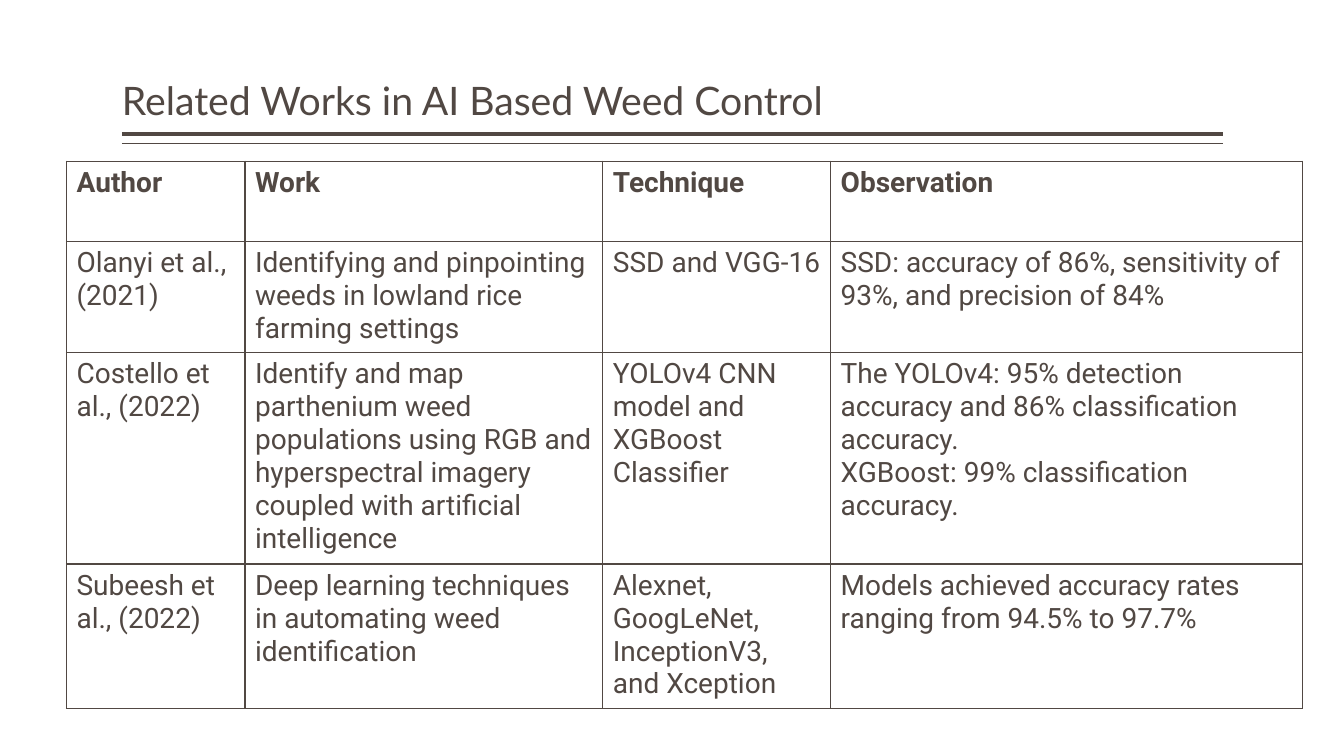
from lxml.etree import SubElement
from pptx import Presentation
from pptx.dml.color import RGBColor
from pptx.enum.shapes import MSO_CONNECTOR
from pptx.enum.text import MSO_ANCHOR
from pptx.oxml import parse_xml
from pptx.oxml.ns import nsdecls, qn
from pptx.util import Pt

TITLE = "Related Works in AI Based Weed Control"
ROWS = [
    ("Author", "Work", "Technique", "Observation"),
    ("Olanyi et al., (2021)",
     "Identifying and pinpointing weeds in lowland rice farming settings",
     "SSD and VGG-16",
     "SSD: accuracy of 86%, sensitivity of 93%, and precision of 84%"),
    ("Costello et al., (2022)",
     "Identify and map parthenium weed populations using RGB and "
     "hyperspectral imagery coupled with artificial intelligence",
     "YOLOv4 CNN model and XGBoost Classifier",
     "The YOLOv4: 95% detection accuracy and 86% classification accuracy.\n"
     "XGBoost: 99% classification accuracy."),
    ("Subeesh et al., (2022)",
     "Deep learning techniques in automating weed identification",
     "Alexnet, GoogLeNet, InceptionV3, and Xception",
     "Models achieved accuracy rates ranging from 94.5% to 97.7%"),
]
INK = "514843"
COL_WIDTHS = [127.5, 255.6, 162.7, 337]
ROW_HEIGHTS = [57.2, 78, 148.5, 101.4]
TABLE_LEFT, TABLE_TOP = 47.5, 115.2
TITLE_LEFT, TITLE_TOP, TITLE_WIDTH, TITLE_HEIGHT = 87.1, 5.8, 786.2, 86.4
RULES = [(95.8, 3), (102.7, 1)]  # (y, line width)


def color(hex_text):
    return RGBColor.from_string(hex_text)


def style_text(tf, font, size, bold=False):
    for p in tf.paragraphs:
        for r in p.runs:
            r.font.name = font
            r.font.size = Pt(size)
            r.font.bold = bold
            r.font.color.rgb = color(INK)


def add_borders(cell):
    tc_pr = cell._tc.get_or_add_tcPr()
    for i, side in enumerate(("lnL", "lnR", "lnT", "lnB")):
        tc_pr.insert(i, parse_xml(
            f'<a:{side} {nsdecls("a")} w="{Pt(1)}"><a:solidFill>'
            f'<a:srgbClr val="{INK}"/></a:solidFill></a:{side}>'))


def add_rule(s, y, width):
    line = s.shapes.add_connector(
        MSO_CONNECTOR.STRAIGHT, Pt(TITLE_LEFT), Pt(y),
        Pt(TITLE_LEFT + TITLE_WIDTH), Pt(y))
    line.line.color.rgb = color(INK)
    line.line.width = Pt(width)
    SubElement(line._element.spPr, qn("a:effectLst"))


def add_title(s):
    box = s.shapes.add_textbox(Pt(TITLE_LEFT), Pt(TITLE_TOP),
                               Pt(TITLE_WIDTH), Pt(TITLE_HEIGHT))
    tf = box.text_frame
    tf.word_wrap = True
    tf.vertical_anchor = MSO_ANCHOR.BOTTOM
    tf.margin_left = tf.margin_right = 0
    tf.text = TITLE
    tf.paragraphs[0].line_spacing = 0.9
    style_text(tf, "Lato", 28)


def add_works_table(s):
    table = s.shapes.add_table(
        len(ROWS), len(COL_WIDTHS), Pt(TABLE_LEFT), Pt(TABLE_TOP),
        Pt(sum(COL_WIDTHS)), Pt(sum(ROW_HEIGHTS))).table
    table.first_row = True
    table.horz_banding = False
    for column, width in zip(table.columns, COL_WIDTHS):
        column.width = Pt(width)
    for i, (row, height) in enumerate(zip(table.rows, ROW_HEIGHTS)):
        row.height = Pt(height)
        for cell, text in zip(row.cells, ROWS[i]):
            cell.text_frame.text = text
            style_text(cell.text_frame, "Roboto", 20, bold=i == 0)
            cell.fill.background()
            add_borders(cell)


def main():
    prs = Presentation()
    prs.slide_width, prs.slide_height = Pt(960), Pt(540)
    s = prs.slides.add_slide(prs.slide_layouts[6])
    for y, width in RULES:
        add_rule(s, y, width)
    add_title(s)
    add_works_table(s)
    prs.save("out.pptx")


if __name__ == "__main__":
    main()
